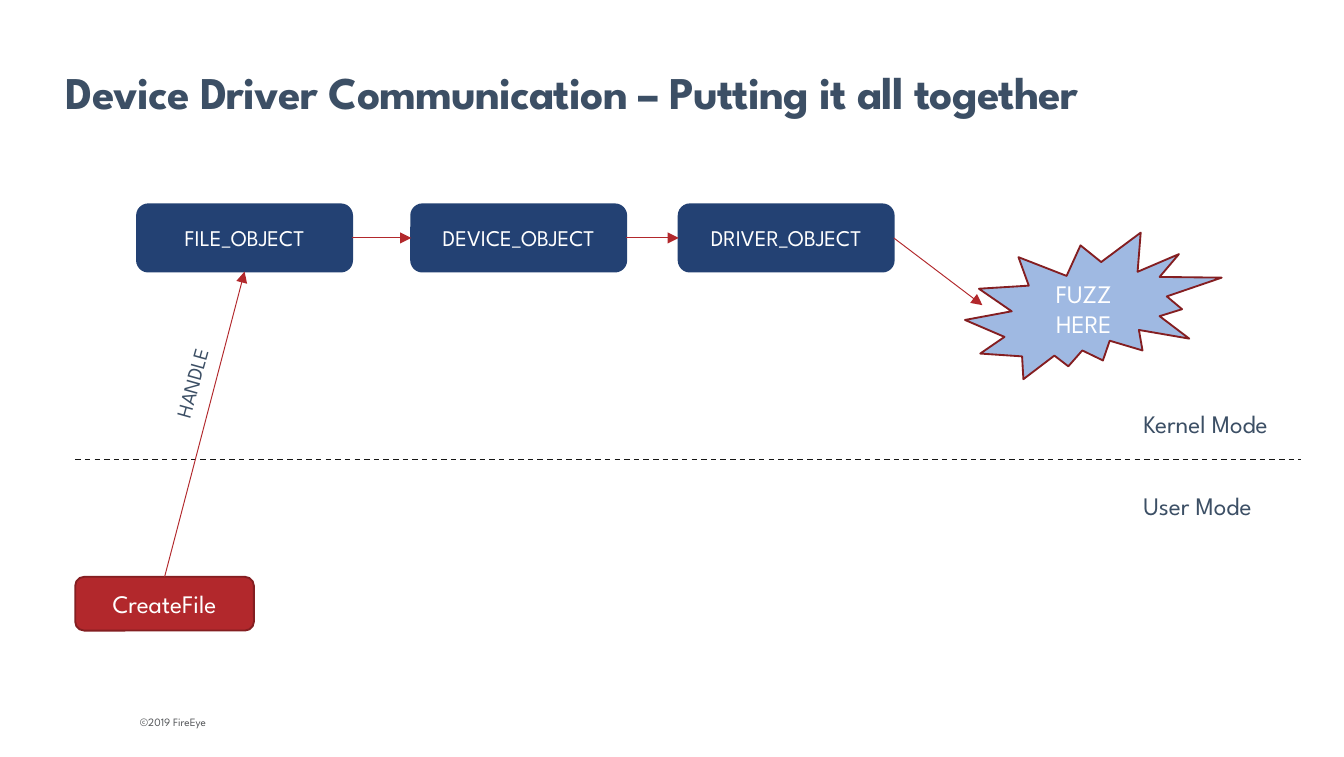
import pptx
import pptx.dml.color
import pptx.enum.dml
import pptx.enum.shapes
import pptx.enum.text
import pptx.oxml.ns
import pptx.util
from dataclasses import dataclass
from lxml import etree

SHAPE = pptx.enum.shapes.MSO_SHAPE
ANCHOR = pptx.enum.text.MSO_ANCHOR
ALIGN = pptx.enum.text.PP_ALIGN
TOP, BOTTOM, RIGHT = 0, 2, 3  # connection sites of a box


@dataclass(frozen=True)
class Theme:
    font: str = "League Spartan"
    ink: str = "3C4F65"
    footer_ink: str = "545659"
    white: str = "FFFFFF"
    navy: str = "234173"
    red: str = "B2282C"
    dark_red: str = "841E21"
    sky: str = "9FB9E2"
    divider: str = "161615"
    title_size: float = 24.3
    body_size: float = 13.5
    object_size: float = 12
    handle_size: float = 11
    footer_size: float = 6


THEME = Theme()


def cells(count):
    """Length of so many grid cells; the slide is 100 cells wide."""
    return pptx.util.Inches(count / 10)


def rgb(colour):
    return pptx.dml.color.RGBColor.from_string(colour)


def apply(target, formats):
    for attribute, value in formats.items():
        setattr(target, attribute, value)


def write(holder, text, size, colour, bold=False, align=ALIGN.LEFT, **frame_formats):
    frame = holder.text_frame
    apply(frame, {"word_wrap": True, **frame_formats})
    paragraph = frame.paragraphs[0]
    paragraph.alignment = align
    run = paragraph.add_run()
    run.text = text
    apply(run.font, {"name": THEME.font, "size": pptx.util.Pt(size), "bold": bold})
    run.font.color.rgb = rgb(colour)
    return paragraph


def add_label(slide, area, text, size, colour=THEME.ink, rotation=0, **formats):
    label = slide.shapes.add_textbox(*map(cells, area))
    label.rotation = rotation
    return write(label, text, size, colour, **formats)


def add_node(slide, kind, area, text, size, fill, outline):
    node = slide.shapes.add_shape(kind, *map(cells, area))
    node.shadow.inherit = False
    node.fill.solid()
    node.fill.fore_color.rgb = rgb(fill)
    node.line.color.rgb = rgb(outline)
    node.line.width = pptx.util.Pt(1)
    write(node, text, size, THEME.white, align=ALIGN.CENTER, vertical_anchor=ANCHOR.MIDDLE)
    return node


def add_line(slide, start, end, colour, width):
    line = slide.shapes.add_connector(
        pptx.enum.shapes.MSO_CONNECTOR.STRAIGHT, *map(cells, (*start, *end)))
    line.line.color.rgb = rgb(colour)
    line.line.width = pptx.util.Pt(width)
    etree.SubElement(line._element.spPr, pptx.oxml.ns.qn("a:effectLst"))
    return line


def add_arrow(slide, source, site, end=(0, 0), target=None, target_site=None):
    """Arrow from a node to another node, or to a free end point."""
    arrow = add_line(slide, (0, 0), end, THEME.red, 0.5)
    arrow.begin_connect(source, site)
    if target is not None:
        arrow.end_connect(target, target_site)
    etree.SubElement(arrow.line._get_or_add_ln(), pptx.oxml.ns.qn("a:tailEnd"), type="triangle")


def add_title(slide):
    title = add_label(slide, (3.9, 3.8, 91.1, 5.6),
                      "Device Driver Communication – Putting it all together",
                      THEME.title_size, bold=True, vertical_anchor=ANCHOR.BOTTOM)
    title.line_spacing = 0.9
    title.runs[0].font._element.set("spc", "-40")


def add_footer(slide):
    margins = dict.fromkeys(("margin_left", "margin_top", "margin_right", "margin_bottom"), 0)
    add_label(slide, (10.4, 53.2, 7.2, 1), "©2019 FireEye", THEME.footer_size,
              THEME.footer_ink, vertical_anchor=ANCHOR.MIDDLE, **margins)


def add_modes(slide):
    divider = add_line(slide, (5.6, 34.2), (96.8, 34.2), THEME.divider, 0.75)
    divider.line.dash_style = pptx.enum.dml.MSO_LINE.DASH
    for top, mode in ((29.9, "Kernel Mode"), (36, "User Mode")):
        add_label(slide, (84.1, top, 14.4, 3.3), mode, THEME.body_size)


def add_flow(slide):
    create_file = add_node(slide, SHAPE.ROUNDED_RECTANGLE, (5.6, 42.9, 13.3, 4), "CreateFile",
                           THEME.body_size, THEME.red, THEME.dark_red)
    kernel_objects = [
        add_node(slide, SHAPE.ROUNDED_RECTANGLE, (left, 15.2, 16, 5), f"{kind}_OBJECT",
                 THEME.object_size, THEME.navy, THEME.navy)
        for left, kind in ((10.2, "FILE"), (30.6, "DEVICE"), (50.5, "DRIVER"))]
    add_node(slide, SHAPE.EXPLOSION2, (71.8, 17.3, 19.1, 10.9), "FUZZ HERE",
             THEME.body_size, THEME.sky, THEME.dark_red)
    for source, target in zip(kernel_objects, kernel_objects[1:]):
        add_arrow(slide, source, RIGHT, target=target, target_site=1)
    add_arrow(slide, create_file, TOP, target=kernel_objects[0], target_site=BOTTOM)
    add_arrow(slide, kernel_objects[-1], RIGHT, end=(73.1, 22.7))
    add_label(slide, (9.6, 25.6, 10.2, 2.9), "HANDLE", THEME.handle_size, rotation=285.6)


def main():
    deck = pptx.Presentation()
    apply(deck, {"slide_width": cells(100), "slide_height": cells(56.3)})
    slide = deck.slides.add_slide(deck.slide_layouts[6])
    add_footer(slide)
    add_title(slide)
    add_modes(slide)
    add_flow(slide)
    deck.save("out.pptx")


if __name__ == "__main__":
    main()
